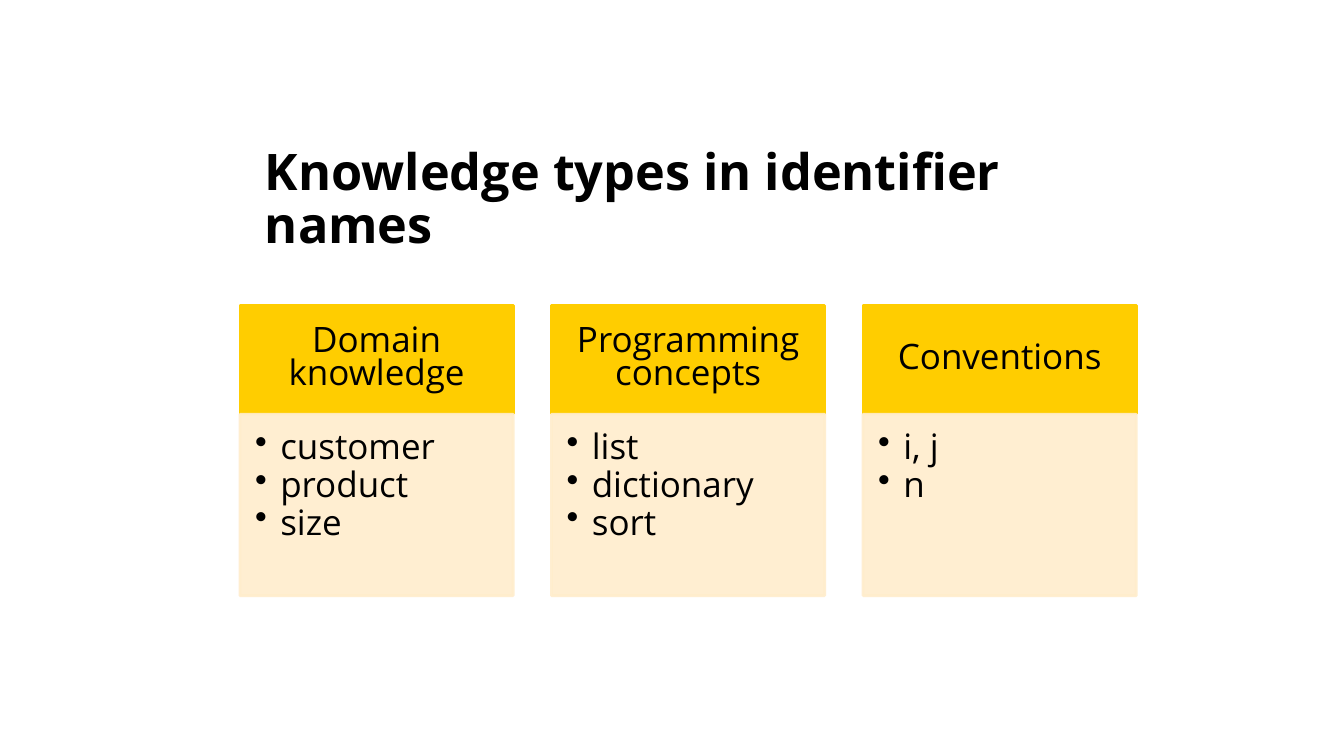
"""Build a slide on the knowledge types found in identifier names."""
from lxml import etree
from pptx import Presentation
from pptx.dml.color import RGBColor
from pptx.enum.shapes import MSO_SHAPE
from pptx.enum.text import MSO_ANCHOR, PP_ALIGN
from pptx.oxml.ns import qn
from pptx.util import Inches, Pt

RECT = MSO_SHAPE.RECTANGLE
TOP, MIDDLE = MSO_ANCHOR.TOP, MSO_ANCHOR.MIDDLE
LEFT, CENTER = PP_ALIGN.LEFT, PP_ALIGN.CENTER
BLACK = RGBColor(0x00, 0x00, 0x00)
YELLOW = RGBColor(0xFF, 0xCD, 0x00)
CREAM = RGBColor(0xFF, 0xED, 0xCC)
FONT = "Open Sans"
TYPES = [
    ("Domain knowledge", ["customer", "product", "size"]),
    ("Programming concepts", ["list", "dictionary", "sort"]),
    ("Conventions", ["i, j", "n"]),
]


def write(shape, lines, size, anchor, align, spacing, insets):
    frame = shape.text_frame
    frame.word_wrap = True
    frame.vertical_anchor = anchor
    (frame.margin_left, frame.margin_top,
     frame.margin_right, frame.margin_bottom) = [Inches(n) for n in insets]
    frame.text = "\n".join(lines)
    for para in frame.paragraphs:
        para.alignment = align
        para.line_spacing = spacing
        font = para.runs[0].font
        font.name = FONT
        font.size = Pt(size)
        font.color.rgb = BLACK


def panel(left, top, height, color):
    box = slide.shapes.add_shape(RECT, Inches(left), Inches(top), Inches(2.71), Inches(height))
    box.shadow.inherit = False
    box.fill.solid()
    box.fill.fore_color.rgb = color
    box.line.color.rgb = color
    box.line.width = Pt(2)
    return box


prs = Presentation()
prs.slide_width = Inches(13.33)
prs.slide_height = Inches(7.5)
slide = prs.slides.add_slide(prs.slide_layouts[6])

title = slide.shapes.add_textbox(Inches(2.53), Inches(1.31), Inches(8.27), Inches(1.37))
write(title, ["Knowledge types in identifier names"], 36, MIDDLE, LEFT, 0.88,
      (0.1, 0.05, 0.1, 0.05))
title.text_frame.paragraphs[0].runs[0].font.bold = True

for col, (name, items) in enumerate(TYPES):
    left = 2.38 + 3.09 * col
    head = panel(left, 3.03, 1.07, YELLOW)
    write(head, [name], 25, MIDDLE, CENTER, 0.78, (0.19, 0.11, 0.19, 0.11))

    body = panel(left, 4.11, 1.8, CREAM)
    for color in body._element.spPr.iter(qn("a:srgbClr")):
        etree.SubElement(color, qn("a:alpha"), val="90000")
    write(body, items, 25, TOP, LEFT, 0.9, (0.15, 0.15, 0.19, 0.22))
    for para in body.text_frame.paragraphs:
        props = para._p.get_or_add_pPr()
        props.set("marL", str(Inches(0.25)))
        props.set("indent", str(Inches(-0.25)))
        etree.SubElement(props, qn("a:buChar"), char="•")

prs.save("out.pptx")
